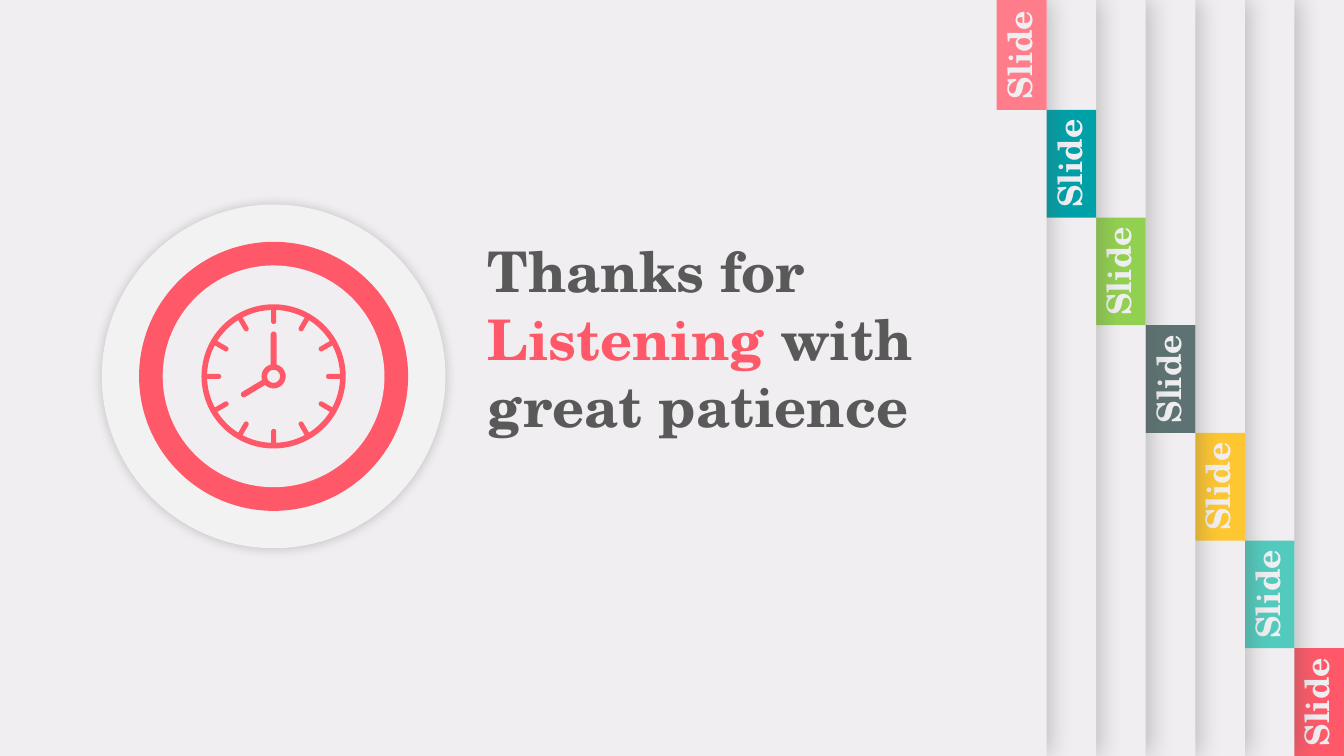
from collections import namedtuple
from math import cos, radians, sin

from lxml.etree import SubElement
from pptx import Presentation
from pptx.dml.color import RGBColor
from pptx.enum.shapes import MSO_SHAPE
from pptx.enum.text import MSO_ANCHOR, MSO_AUTO_SIZE, PP_ALIGN
from pptx.oxml.ns import qn
from pptx.util import Pt

PAPER = RGBColor(0xF0, 0xEE, 0xF0)
DISC = RGBColor(0xF2, 0xF2, 0xF2)
RED = RGBColor(0xFF, 0x59, 0x69)
GREY = RGBColor(0x59, 0x59, 0x59)
BLACK = RGBColor(0, 0, 0)
PINK = RGBColor(0xFF, 0x7D, 0x8B)
TEAL = RGBColor(0x00, 0xA0, 0xA8)
GREEN = RGBColor(0x92, 0xD0, 0x50)
SLATE = RGBColor(0x5D, 0x73, 0x73)
YELLOW = RGBColor(0xFE, 0xC6, 0x30)
MINT = RGBColor(0x52, 0xCB, 0xBE)

FONT = "TeX Gyre Schola"
TAB_COLOURS = [PINK, TEAL, GREEN, SLATE, YELLOW, MINT, RED]

Box = namedtuple("Box", "left top width height")


def box_around(x, y, width, height):
    return Box(x - width / 2, y - height / 2, width, height)


def add_filled(shapes, kind, box, colour, adjustments=(), rotation=0):
    shape = shapes.add_shape(kind, *(Pt(length) for length in box))
    shape.fill.solid()
    shape.fill.fore_color.rgb = colour
    shape.line.fill.background()
    shape.shadow.inherit = False
    shape.rotation = rotation
    for index, value in enumerate(adjustments):
        shape.adjustments[index] = value
    return shape


def add_shadow(shape, colour, opacity, blur, distance):
    """Cast an outer shadow to the right; opacity is in percent."""
    effects = shape.element.spPr.find(qn("a:effectLst"))
    shadow = SubElement(effects, qn("a:outerShdw"), blurRad=str(Pt(blur)),
                        dist=str(Pt(distance)), dir="0", algn="ctr", rotWithShape="0")
    tint = SubElement(shadow, qn("a:srgbClr"), val=str(colour))
    SubElement(tint, qn("a:alpha"), val=str(opacity * 1000))


def add_span(para, text, size, colour):
    span = para.add_run()
    span.text = text
    span.font.name = FONT
    span.font.size = Pt(size)
    span.font.bold = True
    span.font.color.rgb = colour


def add_panel(page, panel, tab, colour):
    """Add a shadowed sheet with a coloured tab and its upright label."""
    group = page.shapes.add_group_shape()
    sheet = add_filled(group.shapes, MSO_SHAPE.RECTANGLE, panel, PAPER)
    add_shadow(sheet, GREY, 35, 17, 3)
    add_filled(group.shapes, MSO_SHAPE.RECTANGLE, tab, colour)

    label_box = box_around(tab.left + tab.width / 2 - 1.6,
                           tab.top + tab.height / 2, 85.7, 36.4)
    label = group.shapes.add_textbox(*(Pt(length) for length in label_box))
    label.rotation = 270
    label.text_frame.word_wrap = True
    para = label.text_frame.paragraphs[0]
    para.alignment = PP_ALIGN.CENTER
    add_span(para, "Slide", 24, PAPER)


def add_panels(page, box):
    """Stack the sheets from the right edge of the box towards the left."""
    step, tab_step, first_height = 35.4, 76.9, 78.5
    last = len(TAB_COLOURS) - 1
    for index in range(last, -1, -1):
        right = box.left + box.width - step * (last - index)
        bottom = box.top + first_height + tab_step * index
        height = tab_step if index else first_height
        panel = Box(right - 982.8, box.top, 982.8, box.height)
        add_panel(page, panel, Box(right - 35.7, bottom - height, 35.7, height),
                  TAB_COLOURS[index])


def add_title(page, box):
    title = page.shapes.title
    title.left, title.top, title.width, title.height = (Pt(length) for length in box)
    page.shapes.element.append(title.element)  # bring above the sheets
    frame = title.text_frame
    frame.word_wrap = True
    frame.auto_size = MSO_AUTO_SIZE.NONE
    frame.vertical_anchor = MSO_ANCHOR.TOP
    para = frame.paragraphs[0]
    para.alignment = PP_ALIGN.LEFT
    para.line_spacing = 1.0
    for text, colour in [("Thanks for ", GREY), ("Listening ", RED),
                         ("with great patience", GREY)]:
        add_span(para, text, 40, colour)


def add_clock(page, box):
    x, y = box.left + box.width / 2, box.top + box.height / 2
    shapes = page.shapes.add_group_shape().shapes
    for angle in range(0, 360, 30):
        tick = box_around(x + 43.4 * sin(radians(angle)),
                          y - 43.4 * cos(radians(angle)), 3.6, 12)
        add_filled(shapes, MSO_SHAPE.ROUNDED_RECTANGLE, tick, RED, [0.5], angle)
    add_filled(shapes, MSO_SHAPE.DONUT, box, RED, [0.039])
    add_filled(shapes, MSO_SHAPE.DONUT, box_around(x, y, 17.3, 17.3), RED, [0.226])
    for hand, angle in [(box_around(x - 14.1, y + 8.5, 4.2, 21), 239),
                        (box_around(x, y - 19.8, 4.2, 24.5), 0)]:
        add_filled(shapes, MSO_SHAPE.ROUND_2_SAME_RECTANGLE, hand, RED, [0.5, 0], angle)


def add_badge(page, box):
    """Add the concentric discs with the clock in their middle."""
    x, y = box.left + box.width / 2, box.top + box.height / 2
    disc = add_filled(page.shapes, MSO_SHAPE.OVAL, box, DISC)
    add_shadow(disc, BLACK, 20, 8, 0)
    for size, colour in [(192.2, RED), (158.4, PAPER)]:
        add_filled(page.shapes, MSO_SHAPE.OVAL, box_around(x, y, size, size), colour)
    add_clock(page, box_around(x, y, 103, 103))


def main():
    deck = Presentation()
    deck.slide_width, deck.slide_height = Pt(960), Pt(540)
    page = deck.slides.add_slide(deck.slide_layouts[5])
    page.background.fill.solid()
    page.background.fill.fore_color.rgb = PAPER
    add_panels(page, Box(0, 0, 960, 540))
    add_title(page, Box(341.3, 165.6, 347, 152.6))
    add_badge(page, Box(72.7, 146.1, 245.5, 245.5))
    deck.save("out.pptx")


if __name__ == "__main__":
    main()
